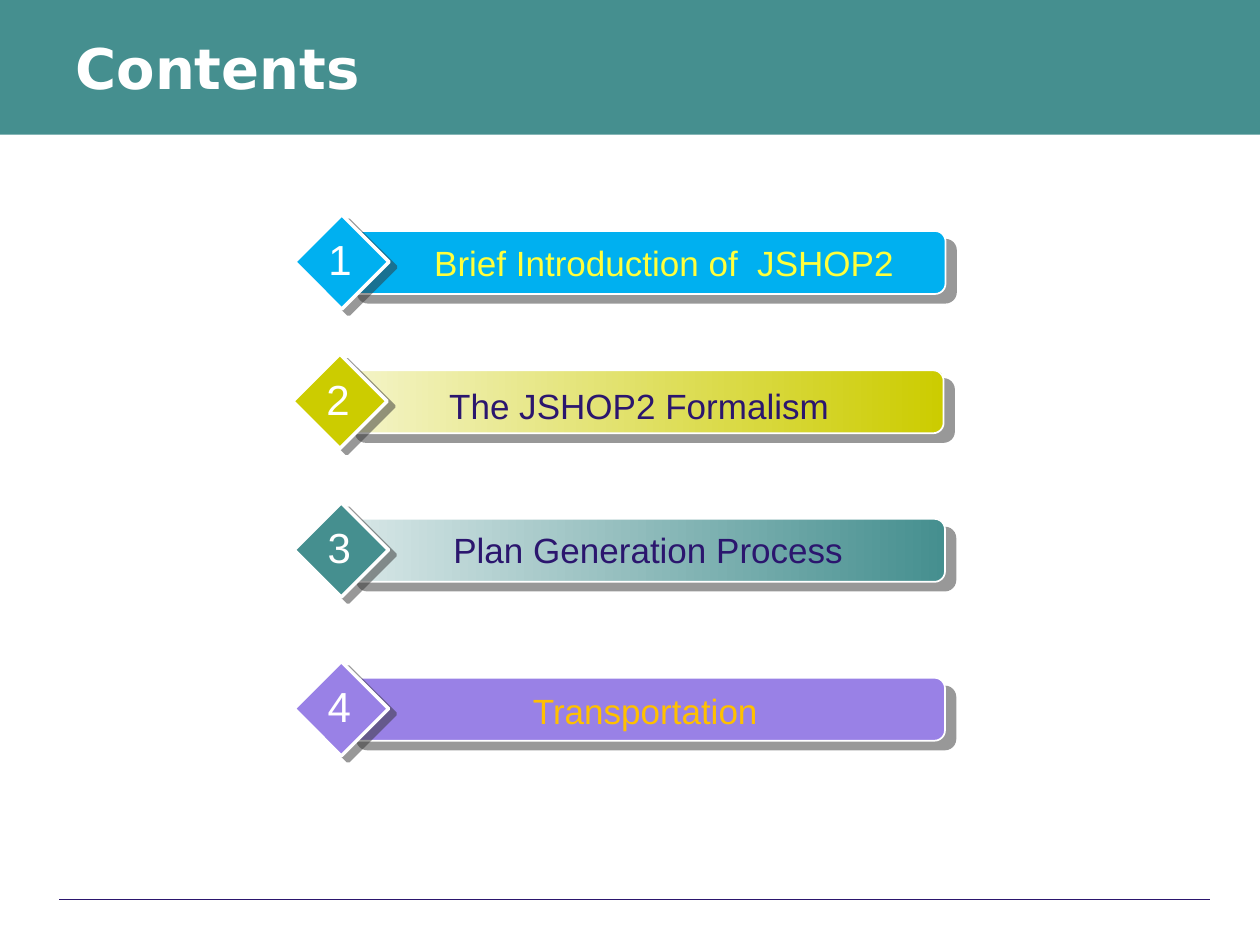
import dataclasses

import lxml.etree
import pptx
import pptx.dml.color
import pptx.enum.shapes
import pptx.enum.text
import pptx.oxml.ns
import pptx.util

Pt = pptx.util.Pt
RGBColor = pptx.dml.color.RGBColor
ShapeKind = pptx.enum.shapes.MSO_SHAPE
Align = pptx.enum.text.PP_ALIGN
qn = pptx.oxml.ns.qn


@dataclasses.dataclass(frozen=True)
class Theme:
    white: str = "FFFFFF"
    teal: str = "458F8F"
    pale_teal: str = "D8E7E7"
    olive: str = "CCCC00"
    pale_olive: str = "F4F4C9"
    sky: str = "00B0F0"
    violet: str = "9981E6"
    navy: str = "2B166E"
    yellow: str = "FFFF3C"
    gold: str = "FFC000"
    shadow: str = "333333"
    title_font: str = "DejaVu Sans"
    text_font: str = "Arial"
    title_size: int = 32
    number_size: int = 24
    label_size: int = 20


class ContentsSlide:
    def __init__(self, deck, theme):
        self.theme = theme
        self.slide = deck.slides.add_slide(deck.slide_layouts[5])

    def add_span(self, box, text, font, size, color, align=Align.LEFT, bold=False):
        para = box.text_frame.paragraphs[0]
        para.alignment = align
        span = para.add_run()
        span.text = text
        span.font.name = font
        span.font.size = Pt(size)
        span.font.bold = bold
        span.font.color.rgb = RGBColor.from_string(color)

    def header(self, text):
        theme = self.theme
        title = self.slide.shapes.title
        title.left, title.top, title.width, title.height = Pt(36), Pt(16), Pt(456), Pt(44.5)
        title.text_frame.vertical_anchor = pptx.enum.text.MSO_ANCHOR.MIDDLE
        self.add_span(title, text, theme.title_font, theme.title_size, theme.white, bold=True)
        band = self.shape(self.slide.shapes, ShapeKind.RECTANGLE, (0, 0, 720, 77), [theme.teal])
        title.element.addprevious(band.element)

    def footer_rule(self):
        rule = self.slide.shapes.add_connector(
            pptx.enum.shapes.MSO_CONNECTOR.STRAIGHT, Pt(33.8), Pt(514), Pt(691.2), Pt(514))
        rule.line.color.rgb = RGBColor.from_string(self.theme.navy)
        rule.line.width = Pt(0.75)
        lxml.etree.SubElement(rule.element.spPr, qn("a:effectLst"))

    def shape(self, shapes, kind, frame, colors, outline=0):
        """Add a shape; two colours make a left-to-right gradient."""
        shape = shapes.add_shape(kind, *map(Pt, frame))
        shape.shadow.inherit = False
        if len(colors) == 1:
            shape.fill.solid()
            shape.fill.fore_color.rgb = RGBColor.from_string(colors[0])
        else:
            shape.fill.gradient()
            shape.fill.gradient_angle = 0
            for stop, color in zip(shape.fill.gradient_stops, colors):
                stop.color.rgb = RGBColor.from_string(color)
        if outline:
            shape.line.color.rgb = RGBColor.from_string(self.theme.white)
            shape.line.width = Pt(outline)
        else:
            shape.line.fill.background()
        return shape

    def cast_shadow(self, shape, distance, degrees):
        effects = shape.element.spPr.find(qn("a:effectLst"))
        shadow = lxml.etree.SubElement(
            effects, qn("a:outerShdw"), blurRad="0", dist=str(int(Pt(distance))),
            dir=str(degrees * 60000), algn="ctr", rotWithShape="0")
        color = lxml.etree.SubElement(shadow, qn("a:srgbClr"), val=self.theme.shadow)
        lxml.etree.SubElement(color, qn("a:alpha"), val="50000")

    def text_box(self, shapes, frame, wrap):
        box = shapes.add_textbox(*map(Pt, frame))
        box.text_frame.word_wrap = wrap
        return box

    def marker(self, number, left, top, colors):
        """Group a bar, its diamond and the number, placed by the diamond's corner."""
        theme = self.theme
        shapes = self.slide.shapes.add_group_shape().shapes
        bar = self.shape(shapes, ShapeKind.ROUNDED_RECTANGLE,
                         (left + 30, top + 9.3, 342, 36), colors, outline=1)
        self.cast_shadow(bar, 7.8, 40)
        diamond = self.shape(shapes, ShapeKind.DIAMOND, (left, top, 54, 54), colors[-1:], outline=2)
        self.cast_shadow(diamond, 5, 37)
        box = self.text_box(shapes, (left + 12.2, top + 7.4, 27.4, 36), wrap=False)
        self.add_span(box, str(number), theme.text_font, theme.number_size, theme.white, Align.CENTER)

    def label(self, text, frame, color):
        box = self.text_box(self.slide.shapes, frame, wrap=True)
        self.add_span(box, text, self.theme.text_font, self.theme.label_size, color)


def main():
    deck = pptx.Presentation()
    deck.slide_width, deck.slide_height = Pt(720), Pt(540)
    theme = Theme()
    page = ContentsSlide(deck, theme)
    page.header("Contents")
    page.footer_rule()

    # Diamond corner, bar colours, label, label frame, label colour
    entries = [
        (168.3, 122.7, [theme.sky], "Brief Introduction of  JSHOP2",
         (241, 134.7, 278, 31.5), theme.yellow),
        (167.2, 202.3, [theme.pale_olive, theme.olive], "The JSHOP2 Formalism",
         (249.6, 216, 287.3, 31.5), theme.navy),
        (168, 287.2, [theme.pale_teal, theme.teal], "Plan Generation Process",
         (252, 298.2, 295.2, 31.5), theme.navy),
        (168, 378, [theme.violet], "Transportation",
         (297.5, 390.2, 204.5, 31.5), theme.gold),
    ]
    for number, (left, top, colors, text, frame, color) in enumerate(entries, start=1):
        page.marker(number, left, top, colors)
        page.label(text, frame, color)

    deck.save("out.pptx")


if __name__ == "__main__":
    main()
